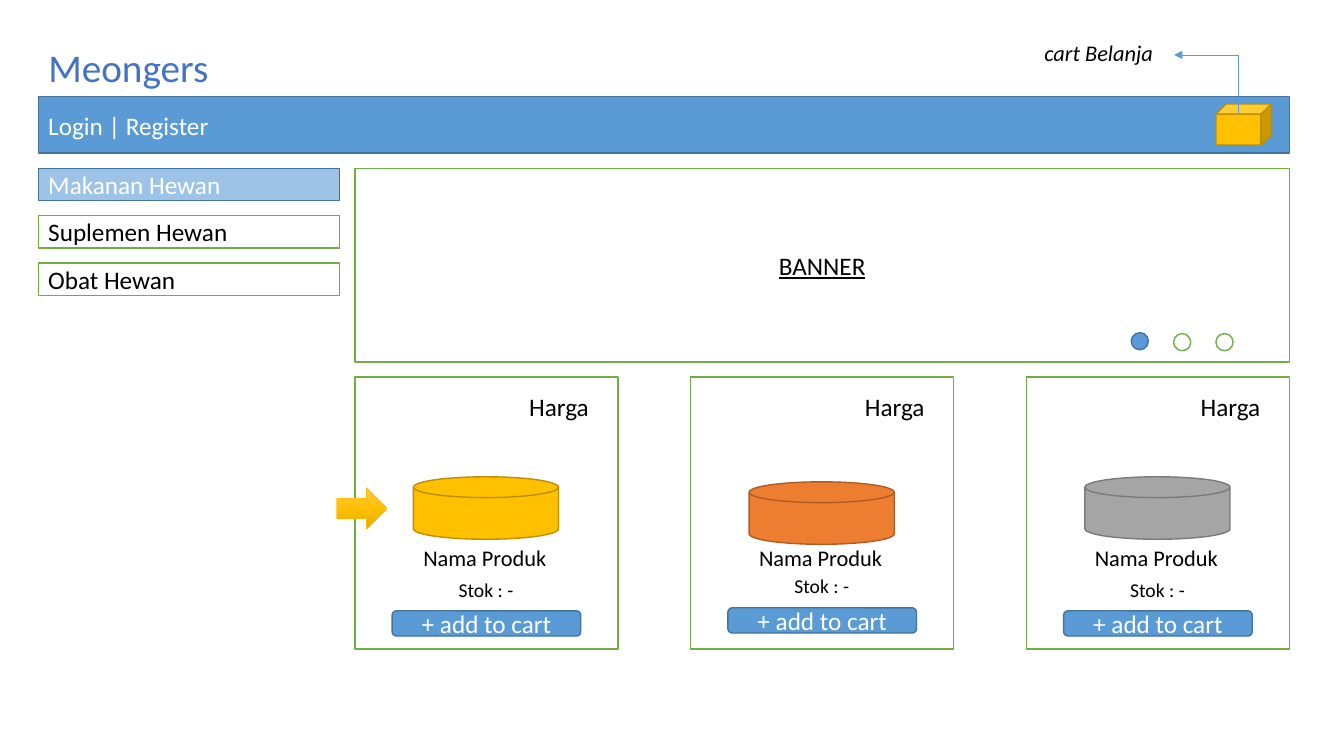
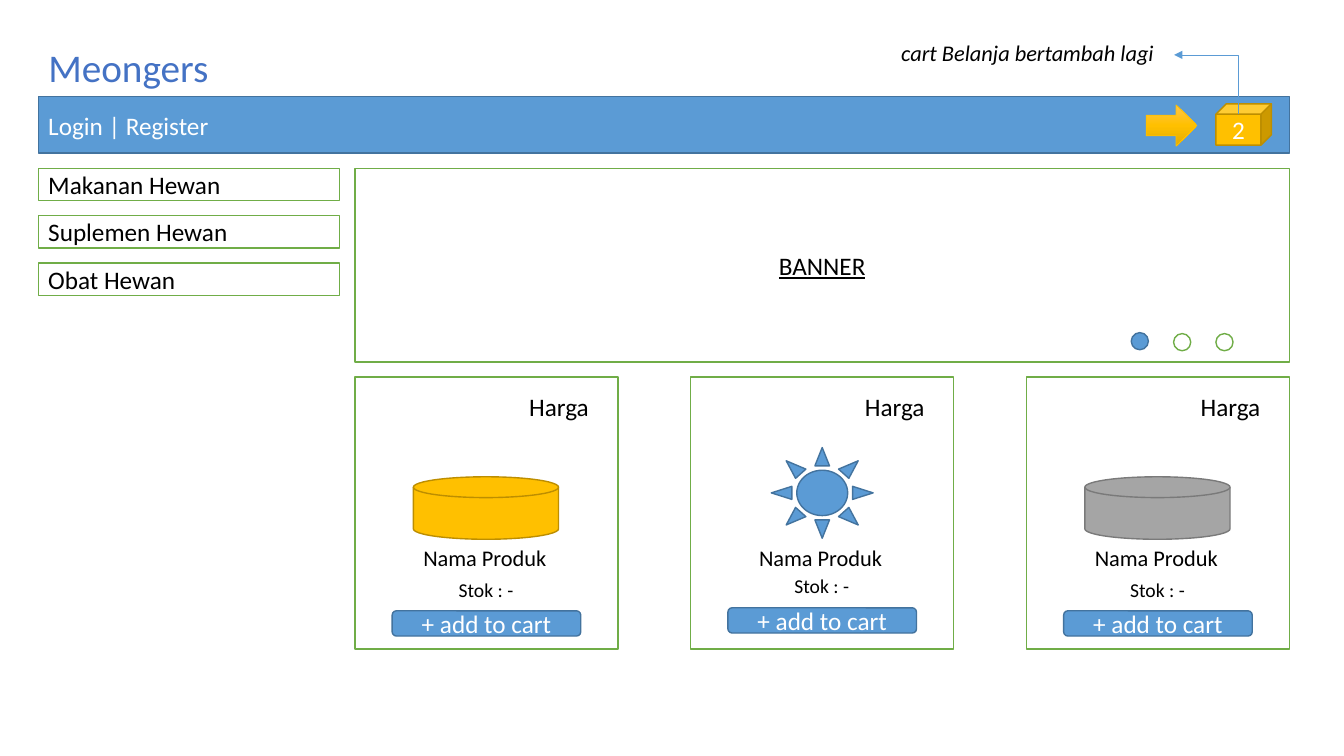
"""Build two wireframe slides of a pet shop page."""
import copy

import lxml.etree
import pptx
import pptx.util
import pptx.dml.color
import pptx.enum.shapes
import pptx.enum.text
import pptx.oxml.ns

Inches = pptx.util.Inches
Pt = pptx.util.Pt
KIND = pptx.enum.shapes.MSO_SHAPE
ALIGN = pptx.enum.text.PP_ALIGN
ANCHOR = pptx.enum.text.MSO_ANCHOR
FIT = pptx.enum.text.MSO_AUTO_SIZE
qn = pptx.oxml.ns.qn

WHITE, BLACK, BLUE = "FFFFFF", "000000", "5B9BD5"
PLAIN = (WHITE, "70AD47")
FULL = (BLUE, "43739E")
PALE = ("9DC3E6", "43739E")
GOLD = ("FFC000", "BD8E00")
GREY = ("A5A5A5", "7A7A7A")
RUST = ("ED7D31", "AF5C24")
LEFT, EDGE, GAP = 0.38, 12.79, 0.15
MAIN = 3.52
STEP = 3.33
DISK = (KIND.FLOWCHART_MAGNETIC_DISK, 0.58, 1.44, 0.62)
SUN = (KIND.SUN, 0.8, 1.01, 0.9)


def rgb(tone):
    return pptx.dml.color.RGBColor.from_string(tone)


def put(slide, kind, box, look=None, text="", size=18, tone=BLACK, align=ALIGN.LEFT):
    box = [Inches(side) for side in box]
    if look:
        item = slide.shapes.add_shape(kind, *box)
        item.shadow.inherit = False
        item.fill.solid()
        item.fill.fore_color.rgb = rgb(look[0])
        item.line.color.rgb = rgb(look[1])
        item.line.width = Pt(1)
        item.text_frame.vertical_anchor = ANCHOR.MIDDLE
    else:
        item = slide.shapes.add_textbox(*box)
        item.text_frame.word_wrap = False
    if text:
        item.text_frame.text = text
        line = item.text_frame.paragraphs[0]
        line.alignment = align
        line.font.name = "Calibri"
        line.font.size = Pt(size)
        line.font.color.rgb = rgb(tone)
    return item


deck = pptx.Presentation()
deck.slide_width = Inches(13.33)
deck.slide_height = Inches(7.5)

pages = [
    {"menu": PALE, "ink": WHITE, "count": "", "note": "cart Belanja",
     "note_box": (10.26, 0.34, 1.29, 0.37), "arrow": (3.34, 4.84),
     "goods": (DISK, 4.78, RUST)},
    {"menu": PLAIN, "ink": BLACK, "count": "2", "note": "cart Belanja bertambah lagi",
     "note_box": (8.84, 0.34, 2.74, 0.37), "arrow": (11.37, 1.04),
     "goods": (SUN, 4.44, FULL)},
]

for page in pages:
    slide = deck.slides.add_slide(deck.slide_layouts[5])
    title = slide.shapes.title
    title.left, title.top = Inches(LEFT), Inches(0.38)
    title.width, title.height = Inches(1.81), Inches(0.57)
    frame = title.text_frame
    frame.text = "Meongers"
    frame.word_wrap = False
    frame.auto_size = FIT.NONE
    frame.vertical_anchor = ANCHOR.TOP
    head = frame.paragraphs[0]
    head.alignment = ALIGN.LEFT
    head.font.name = "Calibri"
    head.font.size = Pt(28)
    head.font.color.rgb = rgb("4472C4")

    put(slide, KIND.RECTANGLE, (LEFT, 0.96, EDGE - LEFT, 0.56), FULL,
        "Login | Register", tone=WHITE)

    menu = [("Makanan Hewan", page["menu"], page["ink"]),
            ("Suplemen Hewan", PLAIN, BLACK),
            ("Obat Hewan", PLAIN, BLACK)]
    for row, (text, look, ink) in enumerate(menu):
        put(slide, KIND.RECTANGLE, (LEFT, 1.67 + row * (0.32 + GAP), 2.99, 0.32),
            look, text, tone=ink)

    sign = put(slide, KIND.RECTANGLE, (MAIN, 1.67, EDGE - MAIN, 1.92), PLAIN,
               "BANNER", align=ALIGN.CENTER)
    sign.text_frame.paragraphs[0].font.underline = True
    for dot, (top, look) in enumerate([(3.3, FULL), (3.31, PLAIN), (3.31, PLAIN)]):
        put(slide, KIND.OVAL, (11.22 + dot * 0.42, top, 0.17, 0.17), look)

    cards = [((DISK, 4.73, GOLD), 5.68, 6.06),
             (page["goods"], 5.64, 6.03),
             ((DISK, 4.73, GREY), 5.68, 6.06)]
    for col, (goods, stock, button) in enumerate(cards):
        x = MAIN + col * STEP
        (kind, shift, width, height), top, look = goods
        put(slide, KIND.RECTANGLE, (x, 3.74, 2.61, 2.7), PLAIN)
        put(slide, None, (x + 1.63, 3.83, 0.8, 0.4), text="Harga")
        put(slide, kind, (x + shift, top, width, height), look)
        put(slide, None, (x + 0.58, 5.35, 1.44, 0.37), text="Nama Produk", size=16)
        put(slide, None, (x + 0.93, stock, 0.75, 0.34), text="Stok : -", size=14)
        put(slide, KIND.ROUNDED_RECTANGLE, (x + 0.37, button, 1.87, 0.25), FULL,
            "+ add to cart", tone=WHITE, align=ALIGN.CENTER)

    put(slide, KIND.CUBE, (12.06, 1.03, 0.55, 0.41), GOLD, page["count"],
        tone=WHITE, align=ALIGN.CENTER)
    note = put(slide, None, page["note_box"], text=page["note"], size=16)
    note.text_frame.paragraphs[0].font.italic = True

    wire = slide.shapes.add_connector(
        pptx.enum.shapes.MSO_CONNECTOR.ELBOW,
        Inches(11.67), Inches(0.52), Inches(12.26), Inches(1.16))
    wire.line.color.rgb = rgb(BLUE)
    wire.line.width = Pt(0.5)
    props = wire._element.spPr
    props.find(qn("a:prstGeom")).set("prst", "bentConnector2")
    turn = props.find(qn("a:xfrm"))
    turn.set("rot", str(270 * 60000))
    turn.set("flipV", "1")
    lxml.etree.SubElement(props.find(qn("a:ln")), qn("a:tailEnd"), type="triangle")
    lxml.etree.SubElement(props, qn("a:effectLst"))

    arrow = put(slide, KIND.RIGHT_ARROW, (*page["arrow"], 0.5, 0.41), ("FFC000", "FFC000"))
    arrow.line.width = Pt(0.5)
    arrow.fill.gradient()
    arrow.fill.gradient_angle = 270
    stops = arrow._element.spPr.find(qn("a:gradFill")).find(qn("a:gsLst"))
    stops.append(copy.deepcopy(stops[-1]))
    shades = [(0, "FFC64B"), (0.5, "FFC000"), (1, "E3AB00")]
    for stop, (place, tone) in zip(arrow.fill.gradient_stops, shades):
        stop.position = place
        stop.color.rgb = rgb(tone)

deck.save("out.pptx")
